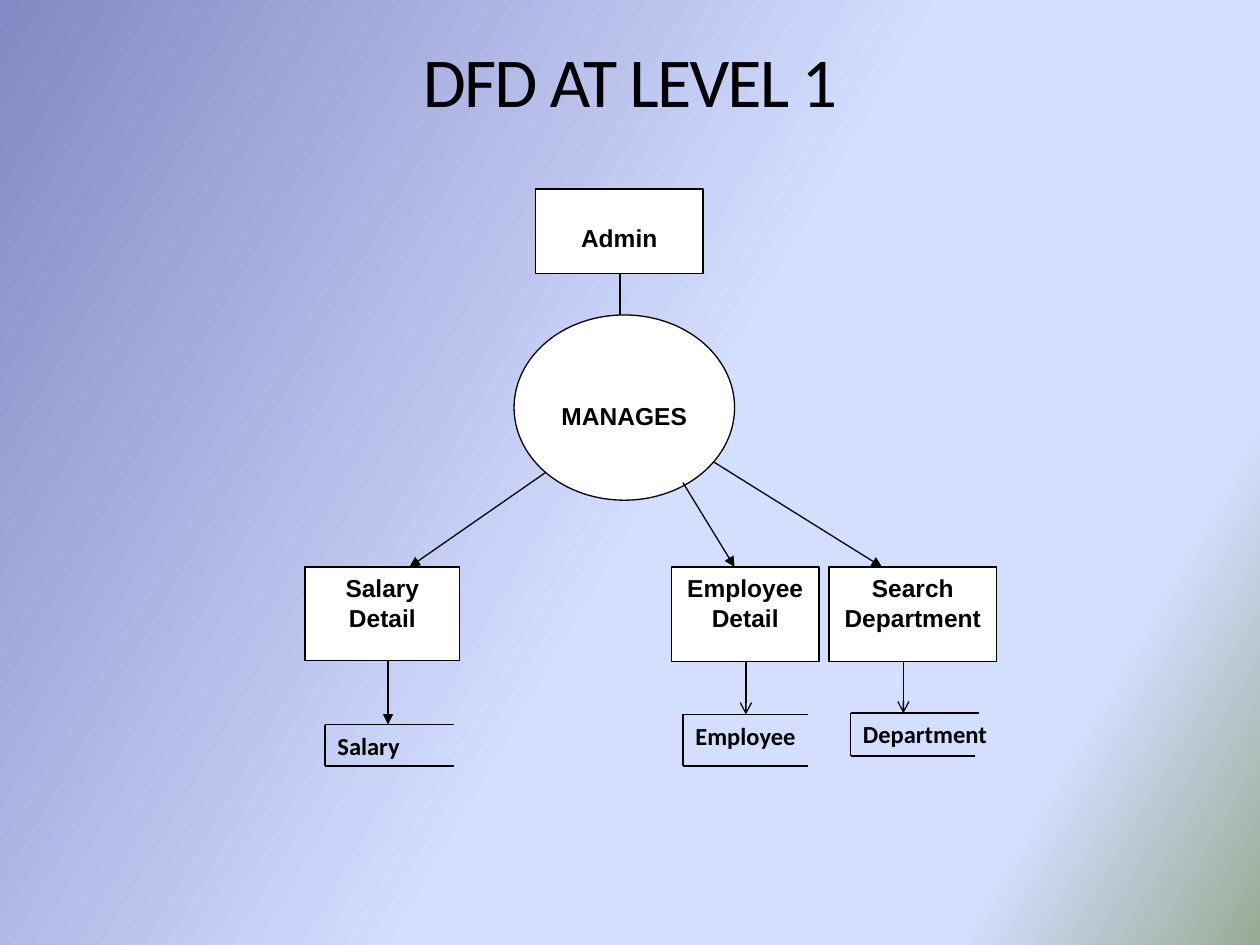
import pptx
import pptx.dml.color
import pptx.enum.shapes
import pptx.enum.text
import pptx.oxml
import pptx.oxml.ns
import pptx.util
from lxml import etree

Inches = pptx.util.Inches
Kind = pptx.enum.shapes.MSO_SHAPE
Align = pptx.enum.text.PP_ALIGN

THEME = {
    "ink": "000000", "paper": "FFFFFF",
    "head": "Calibri", "body": "Arial",
    "big": 40, "small": 14, "line": 0.75,
    "stops": [(0, "8488C4"), (53, "D4DEFF"), (83, "D4DEFF"), (100, "96AB94")],
    "angle": 30,
}

TITLE = ("DFD AT LEVEL 1", (0, 0.25, 10, 1.25))

# text, kind, (left, top, width, height), top inset
NODES = [
    ("Admin", Kind.RECTANGLE, (4.25, 1.5, 1.33, 0.67), 0.27),
    ("MANAGES", Kind.OVAL, (4.08, 2.5, 1.75, 1.47), 0.47),
    ("Salary Detail", Kind.RECTANGLE, (2.42, 4.5, 1.23, 0.74), 0.05),
    ("Employee Detail", Kind.RECTANGLE, (5.33, 4.5, 1.17, 0.75), 0.05),
    ("Search Department", Kind.RECTANGLE, (6.58, 4.5, 1.33, 0.75), 0.05),
]

# start, end, arrowhead
FLOWS = [
    ((4.92, 2.17), (4.92, 2.5), None),
    ((4.33, 3.75), (3.25, 4.5), "triangle"),
    ((5.42, 3.83), (5.83, 4.5), "triangle"),
    ((5.67, 3.67), (7, 4.5), "triangle"),
    ((3.08, 5.15), (3.08, 5.75), "triangle"),
    ((5.92, 5.25), (5.92, 5.67), "arrow"),
    ((7.17, 5.25), (7.17, 5.66), "arrow"),
]

# text, left, top, bottom, right end of top line, of bottom line, text width
STORES = [
    ("Salary", 2.58, 5.75, 6.08, 3.6, 3.6, 0.74),
    ("Employee", 5.42, 5.67, 6.08, 6.41, 6.41, 1.05),
    ("Department", 6.75, 5.66, 6, 7.77, 7.74, 1.24),
]


def color(name):
    return pptx.dml.color.RGBColor.from_string(THEME[name])


def paint_back(slide):
    fill = slide.background.fill
    fill.gradient()
    fill.gradient_angle = 360 - THEME["angle"]
    tag = pptx.oxml.ns.qn
    stops = next(slide.background.element.iter(tag("a:gsLst")))
    for old in list(stops):
        stops.remove(old)
    for place, value in THEME["stops"]:
        stop = etree.SubElement(stops, tag("a:gs"), pos=str(place * 1000))
        etree.SubElement(stop, tag("a:srgbClr"), val=value)


def set_text(shape, text, font, size, bold, align):
    frame = shape.text_frame
    frame.text = text
    frame.vertical_anchor = pptx.enum.text.MSO_ANCHOR.TOP
    para = frame.paragraphs[0]
    para.alignment = align
    run = para.runs[0]
    run.font.name = THEME[font]
    run.font.size = pptx.util.Pt(THEME[size])
    run.font.bold = bold
    run.font.color.rgb = color("ink")
    return run


def set_line(shape):
    shape.line.color.rgb = color("ink")
    shape.line.width = pptx.util.Pt(THEME["line"])


def add_title(slide):
    text, box = TITLE
    shape = slide.shapes.add_textbox(*map(Inches, box))
    shape.text_frame.word_wrap = True
    run = set_text(shape, text, "head", "big", False, Align.CENTER)
    run.font._element.set("spc", "-100")


def add_node(slide, text, kind, box, inset):
    shape = slide.shapes.add_shape(kind, *map(Inches, box))
    shape.shadow.inherit = False
    shape.fill.solid()
    shape.fill.fore_color.rgb = color("paper")
    set_line(shape)
    shape.text_frame.word_wrap = True
    shape.text_frame.margin_top = Inches(inset)
    set_text(shape, text, "body", "small", True, Align.CENTER)


def add_line(slide, start, end, head=None):
    link = slide.shapes.add_connector(
        pptx.enum.shapes.MSO_CONNECTOR.STRAIGHT, *map(Inches, start + end))
    set_line(link)
    tag = pptx.oxml.ns.qn
    if head:
        etree.SubElement(link.line._get_or_add_ln(), tag("a:tailEnd"), type=head)
    etree.SubElement(link._element.spPr, tag("a:effectLst"))


def add_store(slide, text, left, top, low, top_end, low_end, width):
    """Draw a data store: a box open on the right, with its name."""
    add_line(slide, (left, top), (left, low))
    add_line(slide, (left, top), (top_end, top))
    add_line(slide, (left, low), (low_end, low))
    label = slide.shapes.add_textbox(*map(Inches, (left, top, width, 0.34)))
    label.text_frame.word_wrap = False
    label.text_frame.auto_size = pptx.enum.text.MSO_AUTO_SIZE.SHAPE_TO_FIT_TEXT
    set_text(label, text, "head", "small", True, Align.LEFT)


def main():
    deck = pptx.Presentation()
    deck.slide_width, deck.slide_height = Inches(10), Inches(7.5)
    slide = deck.slides.add_slide(deck.slide_layouts[6])
    paint_back(slide)
    add_title(slide)
    # The circle lies under the flows, the detail boxes over them.
    for node in NODES[:2]:
        add_node(slide, *node)
    for flow in FLOWS:
        add_line(slide, *flow)
    for node in NODES[2:]:
        add_node(slide, *node)
    for store in STORES:
        add_store(slide, *store)
    deck.save("out.pptx")


if __name__ == "__main__":
    main()
